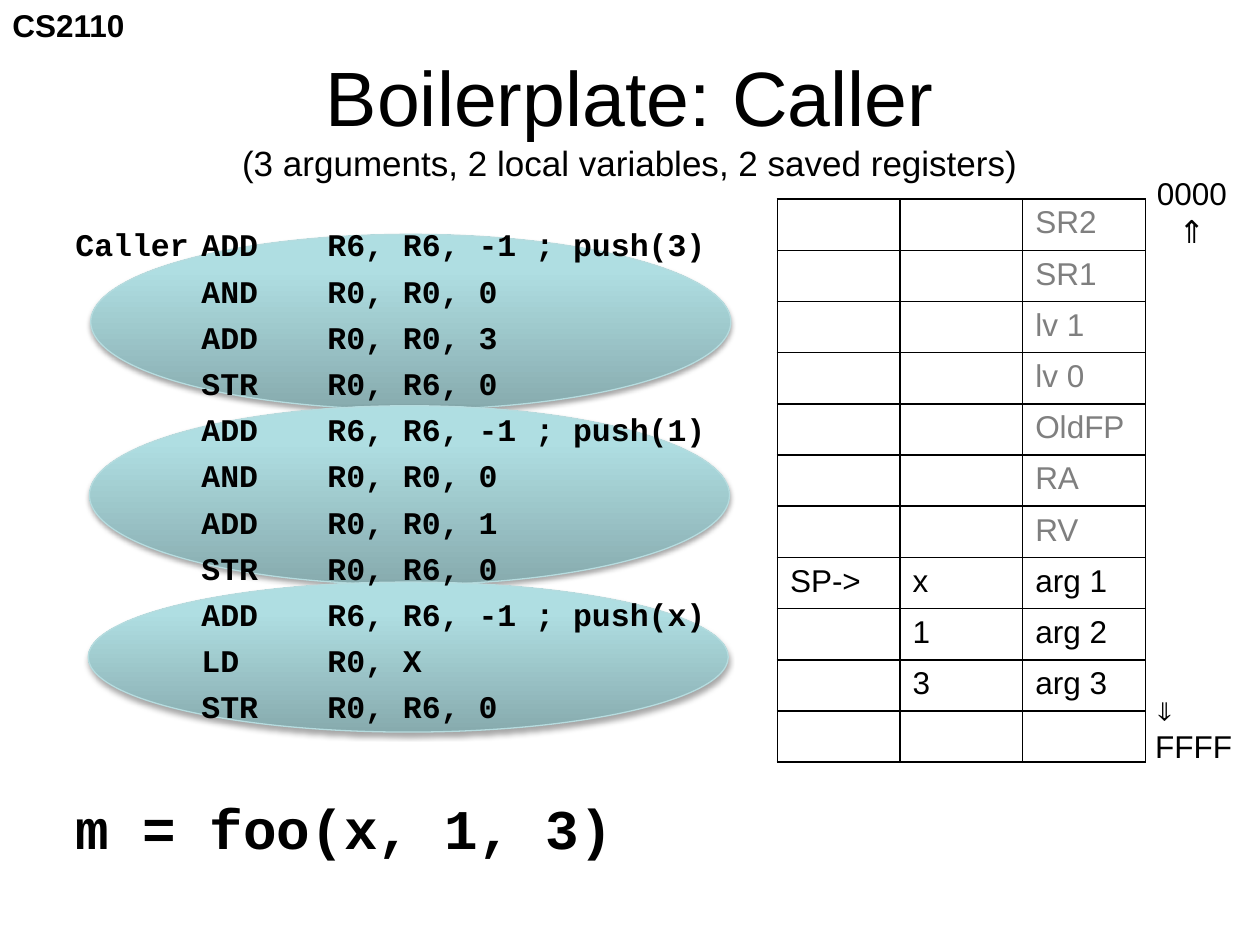
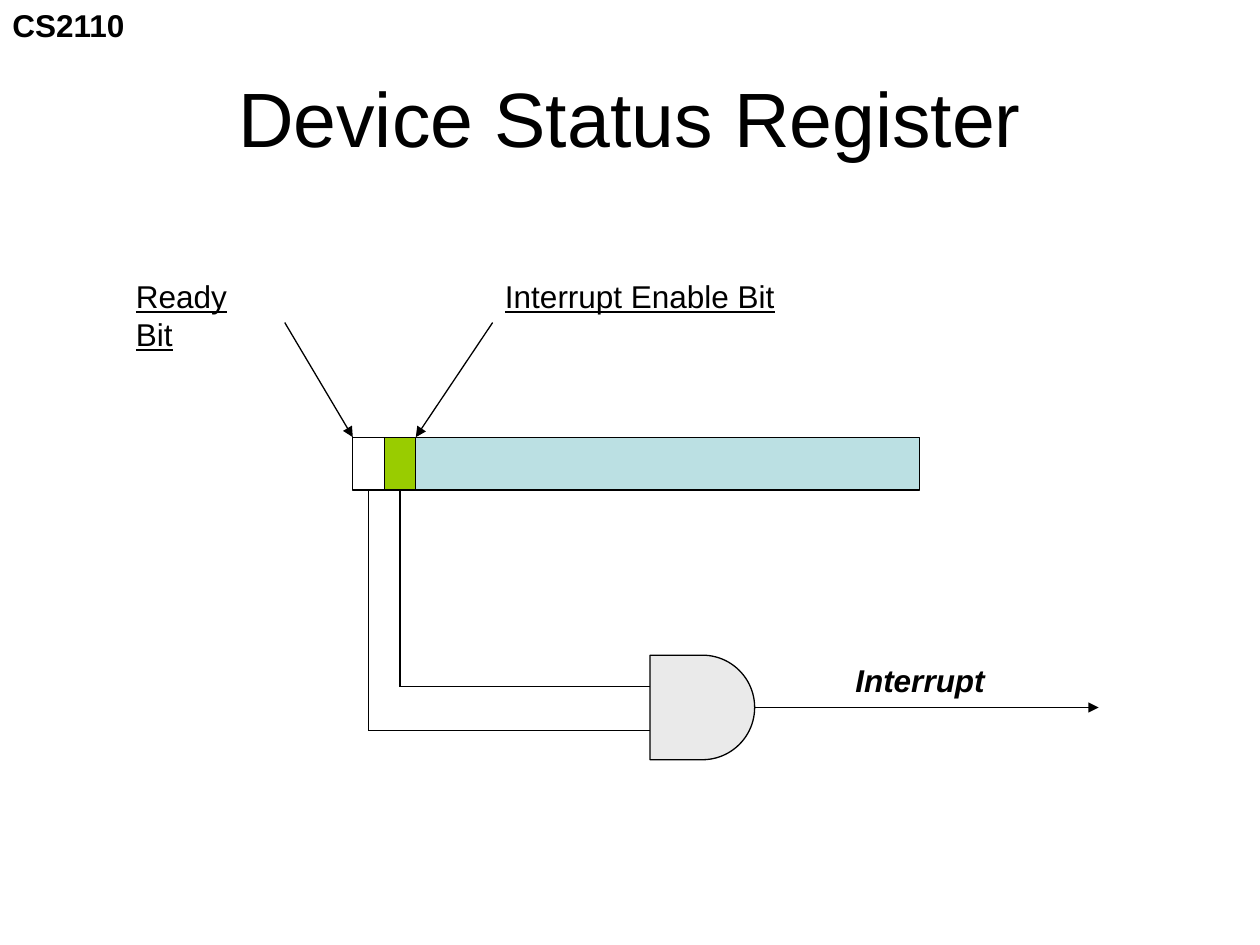
"""Builds two course slides: a calling convention and a device status register."""
from copy import deepcopy
from dataclasses import dataclass

from lxml.etree import SubElement
from pptx import Presentation
from pptx.dml.color import RGBColor
from pptx.enum.shapes import MSO_CONNECTOR as Connector, MSO_SHAPE as Preset
from pptx.enum.text import MSO_ANCHOR as Anchor, PP_ALIGN as Align
from pptx.oxml.ns import qn
from pptx.util import Inches, Pt


@dataclass(frozen=True)
class Theme:
    """Colours, fonts and type sizes of the deck."""
    black: str = "000000"
    white: str = "FFFFFF"
    muted: str = "7F7F7F"
    register: str = "BBE0E3"
    enabled: str = "99CC00"
    gate: str = "EAEAEA"
    oval_line: str = "B6DCDF"
    oval_stops: tuple = ((0, "87ABAE"), (0.8, "AFDEE2"), (1, "AFE0E4"))
    sans: str = "Arial"
    mono: str = "Courier New"
    title: int = 44
    call: int = 32
    subtitle: int = 20
    body: int = 18
    line: float = 0.75
    border: float = 1


THEME = Theme()
COLUMNS, ROWS = 100, 75
CODE = (
    "Caller\tADD\tR6, R6, -1 ; push(3)", "\tAND\tR0, R0, 0",
    "\tADD\tR0, R0, 3", "\tSTR\tR0, R6, 0",
    "\tADD\tR6, R6, -1 ; push(1)", "\tAND\tR0, R0, 0",
    "\tADD \tR0, R0, 1", "\tSTR\tR0, R6, 0",
    "\tADD\tR6, R6, -1 ; push(x)", "\tLD\tR0, X", "\tSTR\tR0, R6, 0",
)
PENDING = ("SR2", "SR1", "lv 1", "lv 0", "OldFP", "RA", "RV")
STACK = [("", "", name) for name in PENDING] + [
    ("SP->", "x", "arg 1"), ("", "1", "arg 2"), ("", "3", "arg 3"), ("", "", "")]


def grid(*counts):
    """Turn grid columns or rows into lengths."""
    return [Inches(count / 10) for count in counts]


def style(font, size=THEME.body, name=THEME.sans, color=THEME.black, bold=False):
    """Set the common properties of a font."""
    font.size, font.name, font.bold = Pt(size), name, bold
    font.color.rgb = RGBColor.from_string(color)


def add_text(slide, box, lines, fonts=(THEME.sans,), align=Align.LEFT, bold=False):
    """Add an unwrapped text box, one paragraph for each line and font."""
    shape = slide.shapes.add_textbox(*grid(*box))
    frame = shape.text_frame
    frame.word_wrap = False
    frame.text = "\n".join(lines)
    for paragraph, name in zip(frame.paragraphs, fonts):
        paragraph.alignment = align
        style(paragraph.font, name=name, bold=bold)
    return shape


def add_title(slide, text, subtitle=""):
    """Place and format the title, with an optional smaller second line."""
    title = slide.shapes.title
    title.left, title.top, title.width, title.height = grid(5, 3, 90, 12.5)
    title.text_frame.vertical_anchor = Anchor.MIDDLE
    paragraph = title.text_frame.paragraphs[0]
    paragraph.alignment = Align.CENTER
    style(paragraph.font, THEME.title)
    paragraph.add_run().text = text
    if subtitle:
        paragraph.add_line_break()
        run = paragraph.add_run()
        run.text = subtitle
        run.font.size = Pt(THEME.subtitle)


def add_shape(slide, preset, box, fill, line=THEME.black):
    """Add an outlined shape with a plain fill and no shadow."""
    shape = slide.shapes.add_shape(preset, *grid(*box))
    shape.shadow.inherit = False
    shape.fill.solid()
    shape.fill.fore_color.rgb = RGBColor.from_string(fill)
    shape.line.color.rgb = RGBColor.from_string(line)
    shape.line.width = Pt(THEME.line)
    return shape


def add_oval(slide, box):
    """Add an ellipse with a vertical gradient and a soft shadow."""
    shape = add_shape(slide, Preset.OVAL, box, THEME.register, THEME.oval_line)
    shape.fill.gradient()
    shape.fill.gradient_angle = 90
    stop_list = shape._element.spPr.find(".//" + qn("a:gsLst"))
    stop_list.append(deepcopy(stop_list[-1]))
    for stop, (position, color) in zip(shape.fill.gradient_stops, THEME.oval_stops):
        stop.position = position
        stop.color.rgb = RGBColor.from_string(color)
    effects = shape._element.spPr.find(qn("a:effectLst"))
    shadow = SubElement(effects, qn("a:outerShdw"), blurRad=str(Pt(3.1)),
                        dist=str(Pt(1.8)), dir="5400000", rotWithShape="0")
    color = SubElement(shadow, qn("a:srgbClr"), val=THEME.black)
    SubElement(color, qn("a:alpha"), val="35000")


def add_line(slide, start, end, arrow=False):
    """Add a straight line, with an arrowhead at its end if asked."""
    line = slide.shapes.add_connector(Connector.STRAIGHT, *grid(*start, *end))
    line.line.color.rgb = RGBColor.from_string(THEME.black)
    line.line.width = Pt(THEME.line)
    if arrow:
        SubElement(line.line._get_or_add_ln(), qn("a:tailEnd"), type="triangle")
    SubElement(line._element.spPr, qn("a:effectLst"))


def add_code(slide, box, lines, call):
    """Add tabbed code lines followed by the larger call they implement."""
    frame = slide.shapes.add_textbox(*grid(*box)).text_frame
    frame.word_wrap = True
    frame.text = "\n".join((*lines, call))
    for paragraph in frame.paragraphs:
        style(paragraph.font, name=THEME.mono, bold=True)
        paragraph.space_before = Pt(4.8)
        tabs = SubElement(paragraph._p.get_or_add_pPr(), qn("a:tabLst"))
        paragraph._p.pPr.insert_element_before(tabs, "a:defRPr")
        for stop in grid(10, 20):
            SubElement(tabs, qn("a:tab"), pos=str(stop), algn="l")
    paragraph.font.size = Pt(THEME.call)
    paragraph.space_before = Pt(39)


def add_borders(cell):
    """Draw all four borders of a table cell."""
    properties = cell._tc.get_or_add_tcPr()
    for index, side in enumerate(("lnL", "lnR", "lnT", "lnB")):
        border = properties.makeelement(qn("a:" + side), w=str(Pt(THEME.border)))
        properties.insert(index, border)
        fill = SubElement(border, qn("a:solidFill"))
        SubElement(fill, qn("a:srgbClr"), val=THEME.black)


def add_stack(slide, box, rows):
    """Add the stack table, with entries not yet pushed in grey."""
    table = slide.shapes.add_table(len(rows), len(rows[0]), *grid(*box)).table
    table.first_row = table.horz_banding = False
    for row_index, row in enumerate(rows):
        for column_index, text in enumerate(row):
            cell = table.cell(row_index, column_index)
            cell.text = text
            cell.fill.background()
            color = THEME.muted if text in PENDING else THEME.black
            style(cell.text_frame.paragraphs[0].font, color=color)
            add_borders(cell)


def add_slide(presentation, layout, title, subtitle=""):
    """Add a titled slide."""
    slide = presentation.slides.add_slide(layout)
    add_title(slide, title, subtitle)
    return slide


def build_caller(slide):
    """Show the caller's code beside the stack it fills."""
    for left, top, height in ((7.2, 18.6, 13.9), (7.1, 32.2, 14.2), (7, 46.2, 11.9)):
        add_oval(slide, (left, top, 50.8, height))
    add_code(slide, (5, 17.4, 90, 55.8), CODE, "m = foo(x, 1, 3)")
    add_text(slide, (90.8, 13.3, 7.6, 7.1), ("0000", "⇑"),
             (THEME.sans, "Noto Sans CJK JP"), Align.CENTER)
    add_text(slide, (90.7, 54.2, 8.2, 7.1), ("⇓", "FFFF"),
             ("Noto Sans Mono", THEME.sans))
    add_stack(slide, (61.7, 15.8, 29.2, 44.7), STACK)


def build_register(slide):
    """Show two register bits gated into an interrupt."""
    left, top, bit, height = 28, 34.7, 2.5, 4.2
    add_shape(slide, Preset.RECTANGLE, (left + bit, top, 42.5, height), THEME.register)
    for index, fill in enumerate((THEME.white, THEME.enabled)):
        add_shape(slide, Preset.RECTANGLE, (left + index * bit, top, bit, height), fill)

    for text, text_left, width, start, end in (
            ("Ready Bit", 9.8, 12.8, 22.6, left),
            ("Interrupt Enable Bit", 39.1, 23.4, 39.1, left + 2 * bit)):
        label = add_text(slide, (text_left, 21.5, width, 4), (text,))
        label.text_frame.paragraphs[0].font.underline = True
        add_line(slide, (start, 25.6), (end, top), arrow=True)

    gate_left, gate_top, gate_size = 51.6, 52, 8.3
    add_shape(slide, Preset.FLOWCHART_DELAY,
              (gate_left, gate_top, gate_size, gate_size), THEME.gate)
    for index, level in enumerate((58, 54.5)):
        center = left + (index + 0.5) * bit
        add_line(slide, (center, top + height), (center, level))
        add_line(slide, (center, level), (gate_left, level))
    middle = gate_top + gate_size / 2
    add_line(slide, (gate_left + gate_size, middle), (87.2, middle), arrow=True)
    output = add_text(slide, (66.9, 52, 12.3, 4), ("Interrupt",), bold=True)
    output.text_frame.paragraphs[0].font.italic = True


def main():
    """Build and save the deck."""
    presentation = Presentation()
    presentation.slide_width, presentation.slide_height = grid(COLUMNS, ROWS)
    layout = presentation.slide_layouts.get_by_name("Title Only")

    caller = add_slide(presentation, layout, "Boilerplate: Caller",
                       "(3 arguments, 2 local variables, 2 saved registers)")
    course = add_text(caller, (0, 0, 11, 4), ("CS2110",), bold=True)
    layout.shapes._spTree.append(course._element)
    build_caller(caller)
    build_register(add_slide(presentation, layout, "Device Status Register"))
    presentation.save("out.pptx")


if __name__ == "__main__":
    main()
